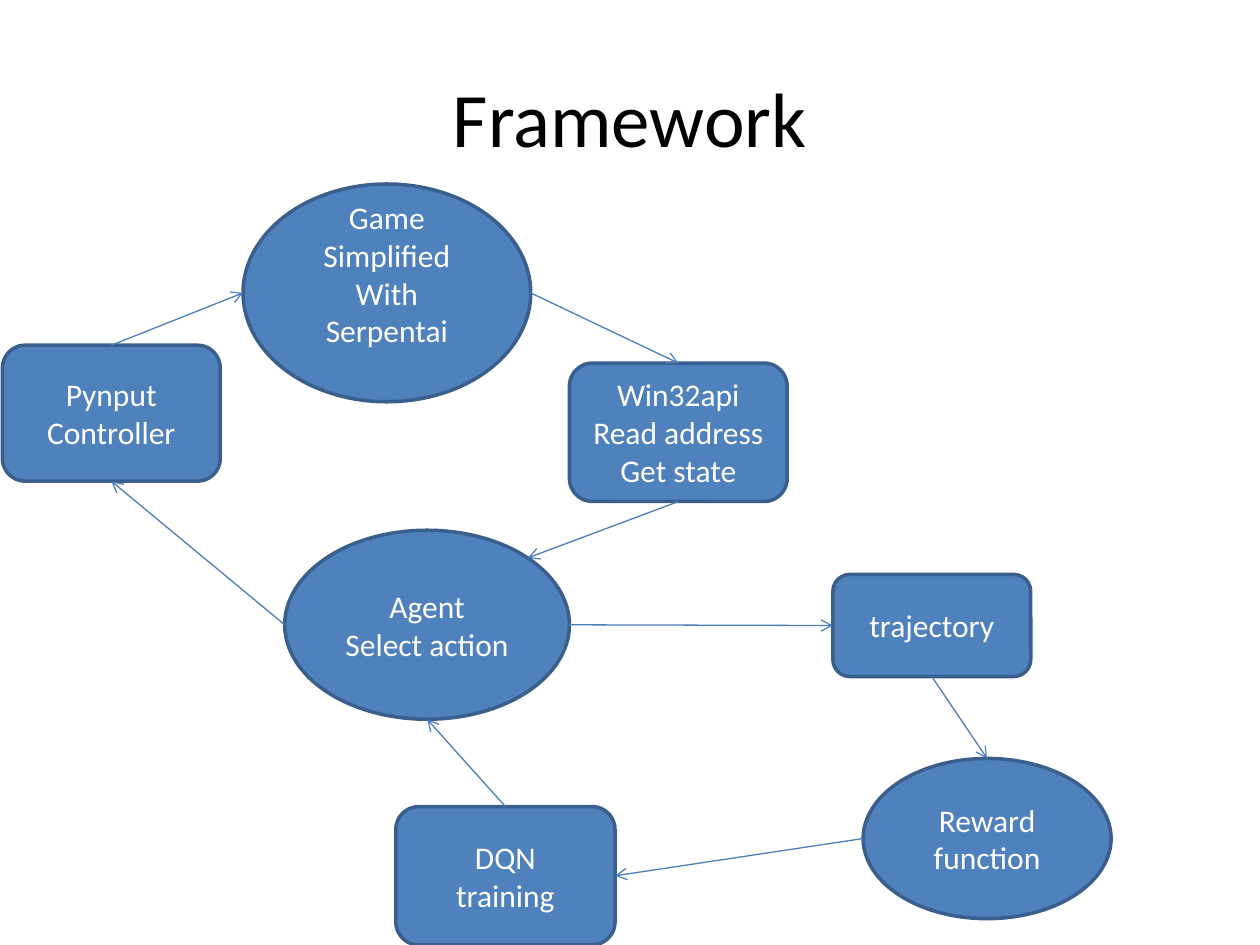
"""Build the Framework slide: a loop of game, agent and training steps."""
from typing import NamedTuple

from lxml import etree
from pptx import Presentation
from pptx import util as u
from pptx.dml.color import RGBColor
from pptx.enum import shapes, text
from pptx.oxml import ns

COLORS = {"fill": "4F81BD", "border": "3A5F8C", "arrow": "4B7EBC",
          "title": "000000", "label": "FFFFFF"}
FONT = "Calibri"
ROUND = shapes.MSO_SHAPE.ROUNDED_RECTANGLE
OVAL = shapes.MSO_SHAPE.OVAL
SITES = {"top": (0.5, 0), "left": (0, 0.5), "bottom": (0.5, 1),
         "right": (1, 0.5), "top_right": (0.854, 0.146)}


class Node(NamedTuple):
    kind: shapes.MSO_SHAPE
    left: float
    top: float
    width: float
    height: float
    label: str
    bottom_inset: float = 0.13

    def site(self, name: str) -> tuple:
        fx, fy = SITES[name]
        return u.Cm(self.left + fx * self.width), u.Cm(self.top + fy * self.height)


class Link(NamedTuple):
    start: str
    start_site: str
    end: str
    end_site: str


NODES = {
    "state": Node(ROUND, 11.48, 7.32, 4.39, 2.79, "Win32api\nRead address\nGet state"),
    "training": Node(ROUND, 7.98, 16.26, 4.42, 2.79, "DQN\ntraining"),
    "controller": Node(ROUND, 0.05, 6.96, 4.39, 2.74, "Pynput\nController"),
    "game": Node(OVAL, 4.9, 3.71, 5.8, 4.39, "Game\nSimplified\nWith\nSerpentai", 0.9),
    "agent": Node(OVAL, 5.74, 10.69, 5.74, 3.81, "Agent\nSelect action"),
    "trajectory": Node(ROUND, 16.79, 11.58, 3.99, 2.06, "trajectory"),
    "reward": Node(OVAL, 17.4, 15.29, 5, 3.23, "Reward\nfunction"),
}
LINKS = [
    Link("game", "right", "state", "top"),
    Link("state", "bottom", "agent", "top_right"),
    Link("agent", "left", "controller", "bottom"),
    Link("controller", "top", "game", "left"),
    Link("agent", "right", "trajectory", "left"),
    Link("trajectory", "bottom", "reward", "top"),
    Link("reward", "left", "training", "right"),
    Link("training", "top", "agent", "bottom"),
]


def rgb(name: str) -> RGBColor:
    """Look up a named colour."""
    return RGBColor.from_string(COLORS[name])


def write(tf, content: str, *, size: float, color: str) -> None:
    """Fill a text frame with centred paragraphs, one per line."""
    tf.word_wrap = True
    tf.vertical_anchor = text.MSO_ANCHOR.MIDDLE
    for i, line in enumerate(content.split("\n")):
        p = tf.add_paragraph() if i else tf.paragraphs[0]
        p.alignment = text.PP_ALIGN.CENTER
        r = p.add_run()
        r.text = line
        r.font.name = FONT
        r.font.size = u.Pt(size)
        r.font.color.rgb = rgb(color)


def draw_node(s, node: Node) -> None:
    """Draw one labelled node."""
    sp = s.shapes.add_shape(node.kind, u.Cm(node.left), u.Cm(node.top),
                            u.Cm(node.width), u.Cm(node.height))
    sp.shadow.inherit = False
    sp.fill.solid()
    sp.fill.fore_color.rgb = rgb("fill")
    sp.line.color.rgb = rgb("border")
    sp.line.width = u.Pt(2)
    sp.text_frame.margin_bottom = u.Cm(node.bottom_inset)
    write(sp.text_frame, node.label, size=18, color="label")


def draw_link(s, link: Link) -> None:
    """Draw one arrow between two nodes."""
    start = NODES[link.start].site(link.start_site)
    end = NODES[link.end].site(link.end_site)
    cx = s.shapes.add_connector(shapes.MSO_CONNECTOR.STRAIGHT, *start, *end)
    cx.line.color.rgb = rgb("arrow")
    cx.line.width = u.Pt(0.75)
    etree.SubElement(cx.line._get_or_add_ln(), ns.qn("a:tailEnd"), type="arrow")
    etree.SubElement(cx._element.spPr, ns.qn("a:effectLst"))


def main() -> None:
    """Build and save the slide."""
    prs = Presentation()
    prs.slide_width, prs.slide_height = u.Cm(25.4), u.Cm(19.05)
    s = prs.slides.add_slide(prs.slide_layouts[6])
    title = s.shapes.add_textbox(u.Cm(1.27), u.Cm(0.76), u.Cm(22.86), u.Cm(3.18))
    write(title.text_frame, "Framework", size=44, color="title")
    for node in NODES.values():
        draw_node(s, node)
    for link in LINKS:
        draw_link(s, link)
    prs.save("out.pptx")


if __name__ == "__main__":
    main()
